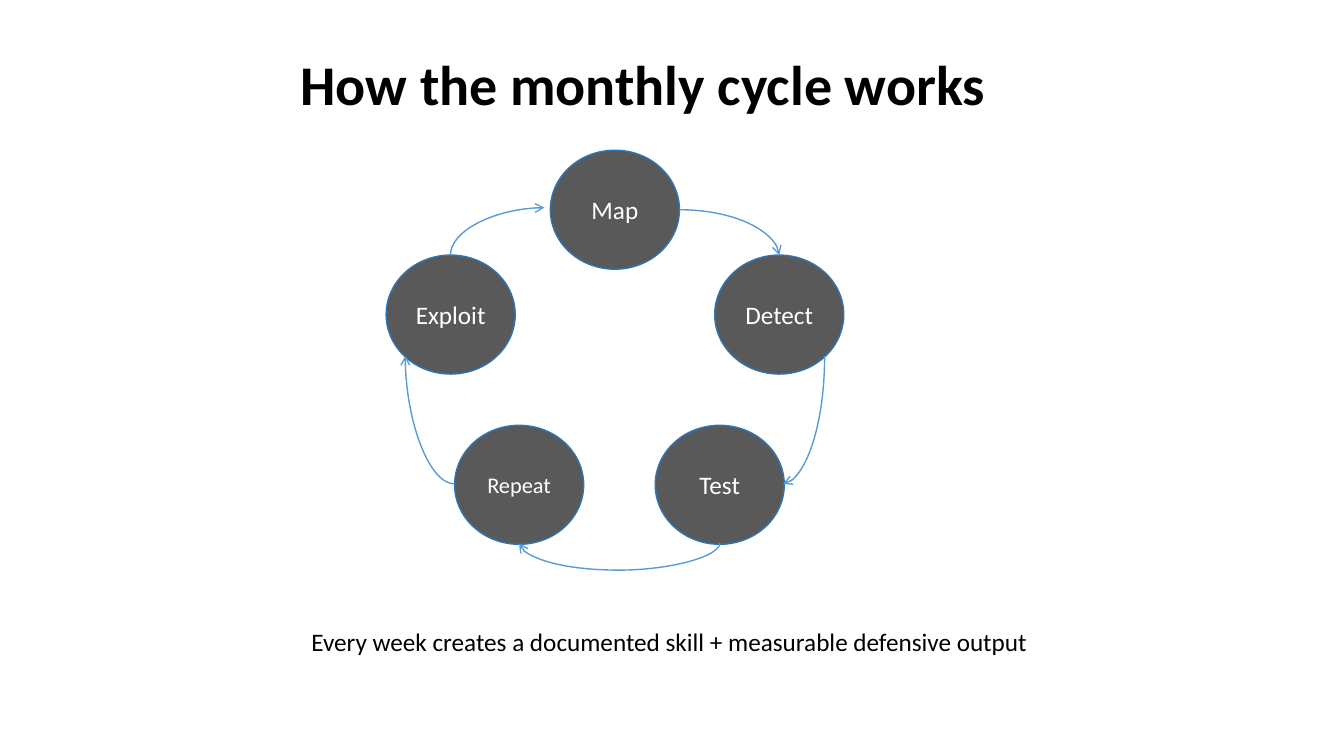
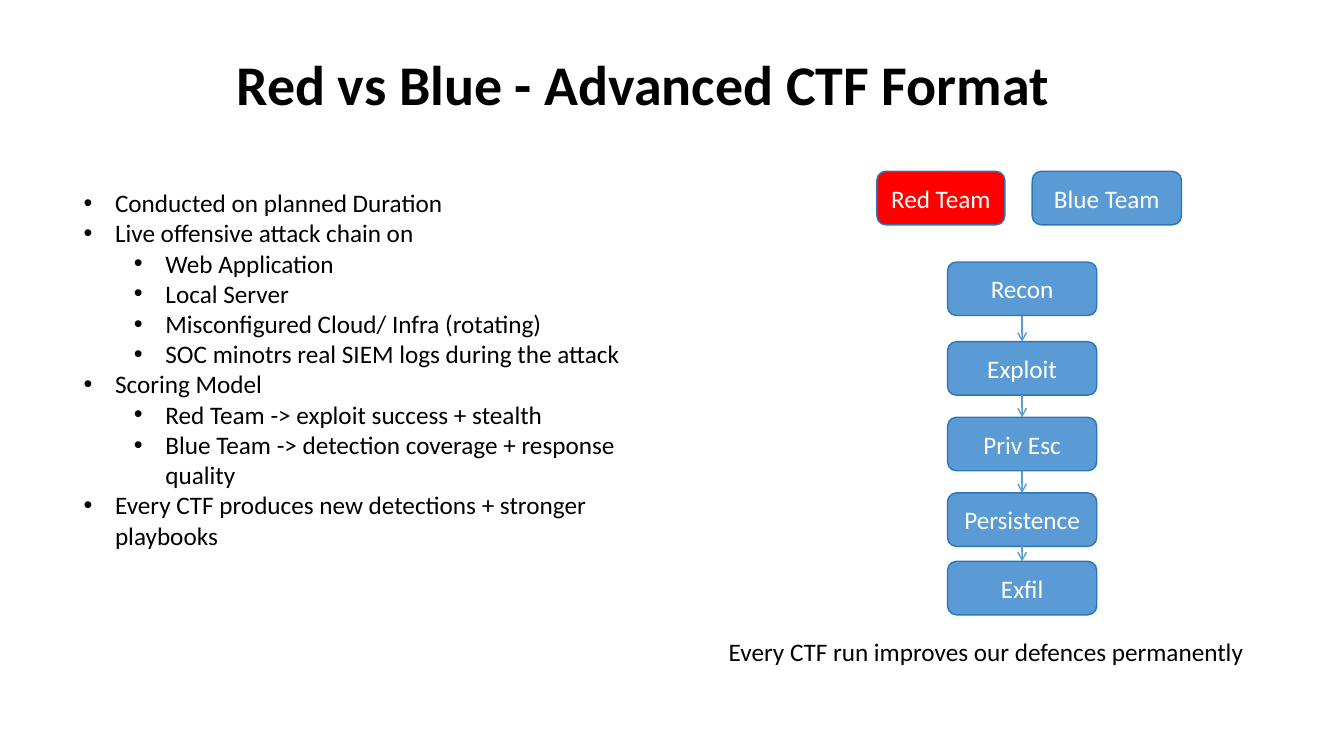
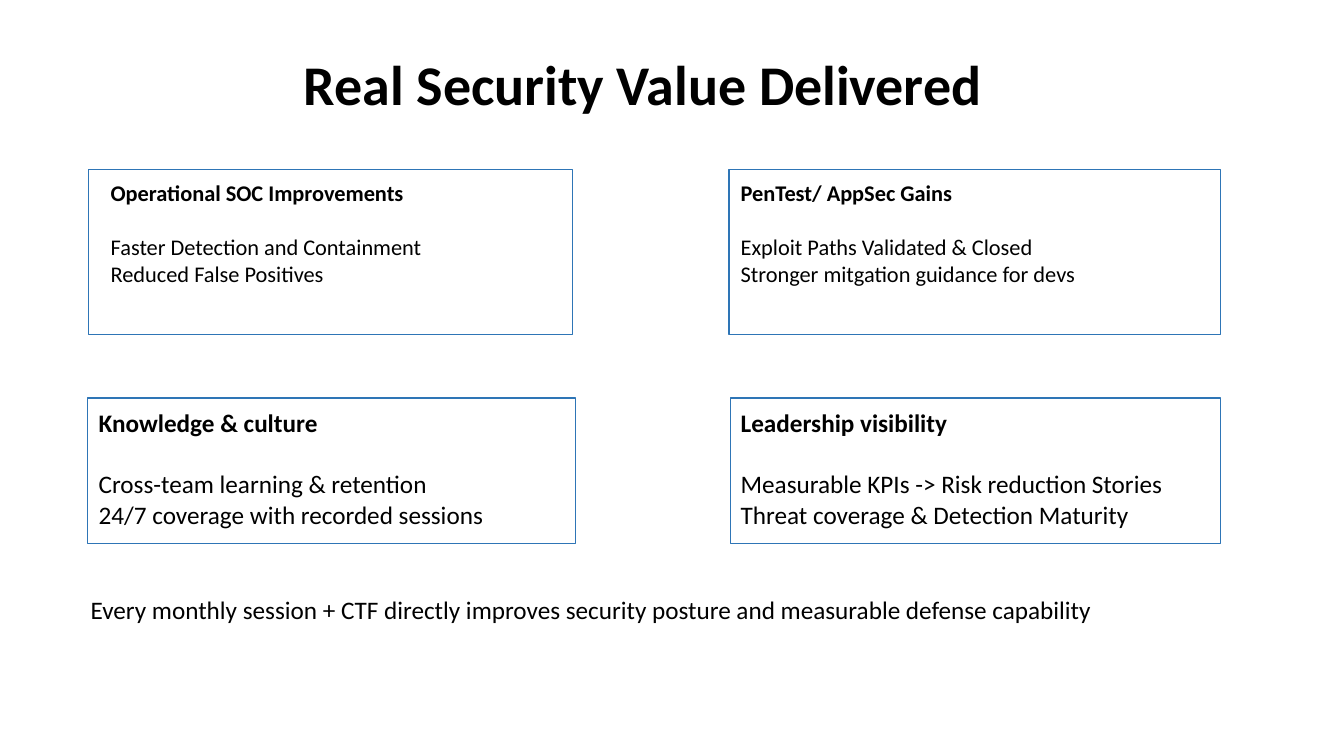
"""Build three slides on a monthly security training cycle."""
from pptx import Presentation
from pptx.dml.color import RGBColor
from pptx.enum.shapes import MSO_CONNECTOR, MSO_SHAPE
from pptx.enum.text import MSO_ANCHOR, PP_ALIGN
from pptx.oxml.ns import qn
from pptx.util import Pt
from lxml.etree import SubElement

BLACK = RGBColor(0x00, 0x00, 0x00)
WHITE = RGBColor(0xFF, 0xFF, 0xFF)
GREY = RGBColor(0x59, 0x59, 0x59)
RED = RGBColor(0xFF, 0x00, 0x00)
BLUE = RGBColor(0x5B, 0x9B, 0xD5)
OUTLINE = RGBColor(0x2E, 0x75, 0xB6)
FONT = "Calibri"
LINE_HEIGHT = 1.22


def write(box, text, size=18, color=BLACK, align=PP_ALIGN.LEFT, anchor=MSO_ANCHOR.TOP, bold=False):
    frame = box.text_frame
    frame.word_wrap = True
    frame.vertical_anchor = anchor
    frame.text = text
    for para in frame.paragraphs:
        para.alignment = align
        for span in para.runs:
            span.font.name = FONT
            span.font.size = Pt(size)
            span.font.bold = bold
            span.font.color.rgb = color
    return frame.paragraphs


def add_box(page, kind, place, fill=None, text="", size=18):
    box = page.shapes.add_shape(kind, *map(Pt, place))
    box.shadow.inherit = False
    box.line.color.rgb = OUTLINE
    box.line.width = Pt(1)
    if fill is None:
        box.fill.background()
    else:
        box.fill.solid()
        box.fill.fore_color.rgb = fill
    if text:
        write(box, text, size, WHITE, PP_ALIGN.CENTER, MSO_ANCHOR.MIDDLE)
    return box


deck = Presentation()
deck.slide_width, deck.slide_height = Pt(960), Pt(540)

TITLES = [
    "How the monthly cycle works ",
    "Red vs Blue - Advanced CTF Format ",
    "Real Security Value Delivered ",
]
CAPTIONS = [
    ((215.3, 443.5, 740, 29), "Every week creates a documented skill + measurable defensive output"),
    ((513.4, 450.7, 411, 29), "Every CTF run improves our defences permanently"),
    ((57.6, 421.2, 749.5, 29),
     "Every monthly session + CTF directly improves security posture and measurable defense capability"),
]
pages = []
for title, (place, caption) in zip(TITLES, CAPTIONS):
    page = deck.slides.add_slide(deck.slide_layouts[6])
    heading = page.shapes.add_textbox(Pt(103.7), Pt(29.2), Pt(720), Pt(58.3))
    paras = write(heading, title, 40, BLACK, PP_ALIGN.CENTER, MSO_ANCHOR.BOTTOM, True)
    paras[0].line_spacing = 0.9
    write(page.shapes.add_textbox(*map(Pt, place)), caption)
    pages.append(page)
cycle_page, ctf_page, value_page = pages
arrows = []

STAGES = [
    ("Exploit", 275.8, 182.2, 18),
    ("Map", 393.1, 107.3, 18),
    ("Detect", 510.5, 182.2, 18),
    ("Test", 468, 303.8, 18),
    ("Repeat", 324.7, 303.8, 16),
]
for name, left, top, size in STAGES:
    add_box(cycle_page, MSO_SHAPE.OVAL, (left, top, 92.2, 85), GREY, name, size)

CURVES = [
    ((321.8, 182.2), (388.8, 148.3), 270, "curvedConnector2"),
    ((485.3, 149.8), (556.6, 182.2), 0, "curvedConnector2"),
    ((589, 254.2), (559.4, 345.6), 90, "curvedConnector2"),
    ((514.1, 388.1), (370.8, 388.1), 90, "curvedConnector3"),
    ((324.7, 345.6), (289.4, 254.2), 180, "curvedConnector2"),
]
for (x1, y1), (x2, y2), turn, preset in CURVES:
    width, height = abs(x2 - x1), abs(y2 - y1)
    if turn in (90, 270):
        width, height = max(height, 0.25), width
    left, top = (x1 + x2 - width) / 2, (y1 + y2 - height) / 2
    arrow = cycle_page.shapes.add_connector(
        MSO_CONNECTOR.CURVE, Pt(left), Pt(top), Pt(left + width), Pt(top + height))
    properties = arrow._element.spPr
    properties.find(qn("a:xfrm")).set("rot", str(turn * 60000))
    geometry = properties.find(qn("a:prstGeom"))
    geometry.set("prst", preset)
    if preset == "curvedConnector3":
        guides = geometry.find(qn("a:avLst"))
        SubElement(guides, qn("a:gd"), name="adj1", fmla="val 7550000")
    arrows.append(arrow)

BULLETS = [
    (0, "Conducted on planned Duration"),
    (0, "Live offensive attack chain on"),
    (1, "Web Application"),
    (1, "Local Server"),
    (1, "Misconfigured Cloud/ Infra (rotating)"),
    (1, "SOC minotrs real SIEM logs during the attack"),
    (0, "Scoring Model"),
    (1, "Red Team -> exploit success + stealth"),
    (1, "Blue Team -> detection coverage + response quality"),
    (0, "Every CTF produces new detections + stronger playbooks"),
]
body = ctf_page.shapes.add_textbox(Pt(52.6), Pt(130.3), Pt(415.4), Pt(291))
paras = write(body, "\n".join(text for level, text in BULLETS))
for para, (level, text) in zip(paras, BULLETS):
    para.level = level
    settings = para._p.get_or_add_pPr()
    settings.set("marL", str(Pt(22.5 + 36 * level)))
    settings.set("indent", str(Pt(-22.5)))
    SubElement(settings, qn("a:buFont"), typeface="Arial")
    SubElement(settings, qn("a:buChar"), char="•")

add_box(ctf_page, MSO_SHAPE.ROUNDED_RECTANGLE, (626.4, 122.4, 91.4, 38.2), RED, "Red Team")
add_box(ctf_page, MSO_SHAPE.ROUNDED_RECTANGLE, (737.3, 122.4, 106.6, 38.2), BLUE, "Blue Team")
STEPS = [("Recon", 187.2), ("Exploit", 244.1), ("Priv Esc", 298.1), ("Persistence", 352.1), ("Exfil", 401)]
steps = [
    add_box(ctf_page, MSO_SHAPE.ROUNDED_RECTANGLE, (676.8, top, 106.6, 38.2), BLUE, name)
    for name, top in STEPS
]
for upper, lower in zip(steps, steps[1:]):
    arrow = ctf_page.shapes.add_connector(MSO_CONNECTOR.STRAIGHT, 0, 0, 0, 0)
    arrow.begin_connect(upper, 2)
    arrow.end_connect(lower, 0)
    arrows.append(arrow)

for arrow in arrows:
    arrow.line.color.rgb = BLUE
    arrow.line.width = Pt(1)
    SubElement(arrow.line._get_or_add_ln(), qn("a:tailEnd"), type="arrow")
    SubElement(arrow._element.spPr, qn("a:effectLst"))

CARDS = [
    ((63.4, 121, 345.6, 118.1), (72, 124.6), 16,
     "Operational SOC Improvements\nFaster Detection and Containment\nReduced False Positives"),
    ((520.6, 121, 351.4, 118.1), (522, 124.6), 16,
     "PenTest/ AppSec Gains\nExploit Paths Validated & Closed\nStronger mitgation guidance for devs"),
    ((62.6, 284.4, 348.5, 103.7), (63.4, 287.6), 18,
     "Knowledge & culture\nCross-team learning & retention\n24/7 coverage with recorded sessions"),
    ((522, 284.4, 349.9, 103.7), (522, 287.6), 18,
     "Leadership visibility\nMeasurable KPIs -> Risk reduction Stories\nThreat coverage & Detection Maturity"),
]
for place, (left, top), size, text in CARDS:
    add_box(value_page, MSO_SHAPE.RECTANGLE, place)
    label = value_page.shapes.add_textbox(Pt(left), Pt(top), Pt(319.7), Pt(100))
    paras = write(label, text, size)
    paras[0].runs[0].font.bold = True
    paras[0].space_after = Pt(round(size * LINE_HEIGHT, 1))

deck.save("out.pptx")
